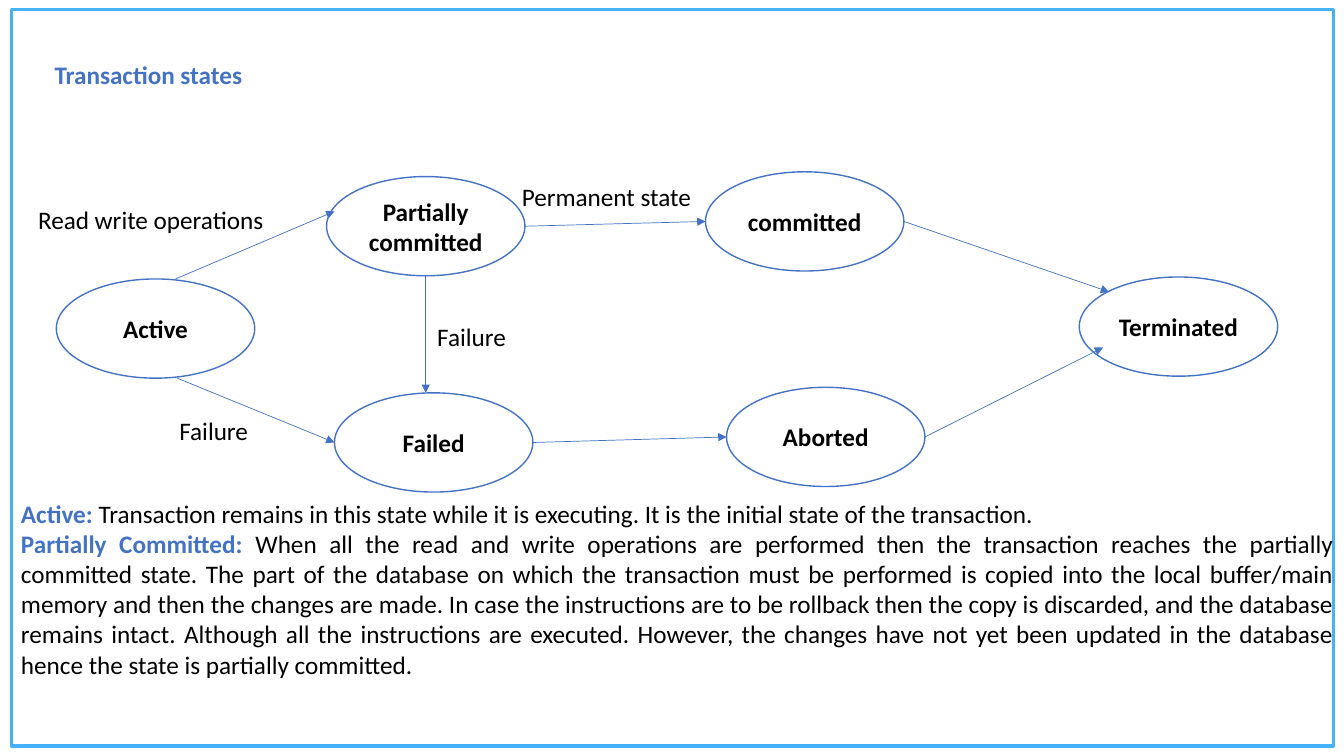
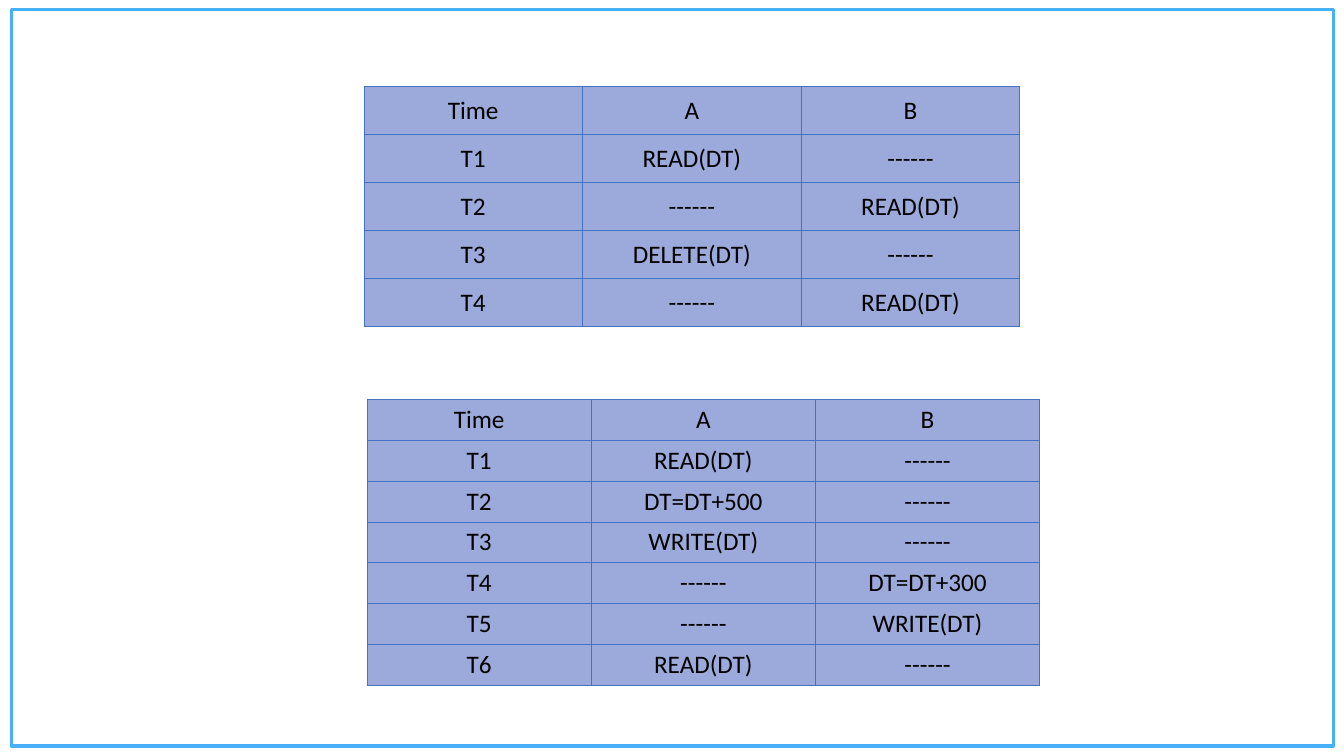
from dataclasses import dataclass

import pptx
import pptx.dml.color
import pptx.enum.shapes
import pptx.enum.text
import pptx.oxml
import pptx.oxml.ns
import pptx.util
from pptx.util import Cm

Align = pptx.enum.text.PP_ALIGN
Anchor = pptx.enum.text.MSO_ANCHOR
Fit = pptx.enum.text.MSO_AUTO_SIZE
Shape = pptx.enum.shapes.MSO_SHAPE
qn = pptx.oxml.ns.qn


@dataclass(frozen=True)
class Theme:
    ink: str = "000000"
    blue: str = "4472C4"
    frame: str = "46B0F9"
    white: str = "FFFFFF"
    cell: str = "9BAADA"
    face: str = "Calibri"
    size: float = 18
    thick: float = 2.25
    edge: float = 1
    thin: float = 0.5


def rgb(code):
    return pptx.dml.color.RGBColor.from_string(code)


def node(tag, **attrs):
    made = pptx.oxml.parse_xml(f'<a:{tag} {pptx.oxml.ns.nsdecls("a")}/>')
    for key, value in attrs.items():
        made.set(key, str(value))
    return made


class Deck:
    """Holds the theme, the presentation and the current slide."""

    def __init__(self, theme):
        self.theme = theme
        self.show = pptx.Presentation()
        self.show.slide_width = Cm(33.87)
        self.show.slide_height = Cm(19.05)
        self.slide = None

    def page(self, title=None):
        layout = self.show.slide_layouts[5 if title else 6]
        self.slide = self.show.slides.add_slide(layout)
        self.shape(Shape.RECTANGLE, 0.28, 0.23, 33.32, 18.57,
                   self.theme.frame, self.theme.thick)
        if title:
            self.title(title)

    def font(self, font, color=None, bold=False):
        font.name = self.theme.face
        font.size = pptx.util.Pt(self.theme.size)
        font.bold = bold
        font.color.rgb = rgb(color or self.theme.ink)

    def stroke(self, line, color, width):
        line.color.rgb = rgb(color)
        line.width = pptx.util.Pt(width)

    def title(self, text):
        box = self.slide.shapes.title
        box.left, box.top = Cm(1.12), Cm(1.37)
        box.width, box.height = Cm(9.65), Cm(1.02)
        frame = box.text_frame
        frame.text = text
        frame.auto_size = Fit.NONE
        frame.vertical_anchor = Anchor.TOP
        para = frame.paragraphs[0]
        para.alignment = Align.LEFT
        self.font(para.font, self.theme.blue, True)

    def shape(self, kind, left, top, width, height, color, weight, fill=None):
        made = self.slide.shapes.add_shape(
            kind, Cm(left), Cm(top), Cm(width), Cm(height))
        made.shadow.inherit = False
        if fill:
            made.fill.solid()
            made.fill.fore_color.rgb = rgb(fill)
        else:
            made.fill.background()
        self.stroke(made.line, color, weight)
        return made

    def state(self, text, left, top):
        made = self.shape(Shape.OVAL, left, top, 5, 2.5, self.theme.blue,
                          self.theme.edge, self.theme.white)
        frame = made.text_frame
        frame.text = text
        frame.word_wrap = True
        frame.vertical_anchor = Anchor.MIDDLE
        frame.margin_left = frame.margin_right = 0
        para = frame.paragraphs[0]
        para.alignment = Align.CENTER
        self.font(para.font, bold=True)
        return made

    def arrow(self, start, end):
        """Join two points, each given as (shape, share across, share down)."""
        ends = [place for shape, across, down in (start, end)
                for place in (shape.left + round(shape.width * across),
                              shape.top + round(shape.height * down))]
        link = self.slide.shapes.add_connector(
            pptx.enum.shapes.MSO_CONNECTOR.STRAIGHT, *ends)
        self.stroke(link.line, self.theme.blue, self.theme.thin)
        props = link.element.spPr
        props.find(qn("a:ln")).append(node("tailEnd", type="triangle"))
        props.append(node("effectLst"))

    def box(self, left, top, width, height):
        made = self.slide.shapes.add_textbox(
            Cm(left), Cm(top), Cm(width), Cm(height))
        frame = made.text_frame
        frame.word_wrap = True
        frame.auto_size = Fit.SHAPE_TO_FIT_TEXT
        return frame

    def label(self, text, left, top, width):
        frame = self.box(left, top, width, 1.03)
        frame.text = text
        self.font(frame.paragraphs[0].font)

    def terms(self, items, left, top, width, height):
        """Write one justified paragraph per pair of term and meaning."""
        frame = self.box(left, top, width, height)
        for index, (term, text) in enumerate(items):
            para = frame.add_paragraph() if index else frame.paragraphs[0]
            para.alignment = Align.JUSTIFY
            for part, color, bold in ((term + ": ", self.theme.blue, True),
                                      (text, self.theme.ink, False)):
                run = para.add_run()
                run.text = part
                self.font(run.font, color, bold)

    def table(self, rows, left, top, wide, high):
        """Draw rows of text in cells of equal width and height."""
        count = len(rows[0])
        grid = self.slide.shapes.add_table(
            len(rows), count, Cm(left), Cm(top),
            Cm(wide * count), Cm(high * len(rows))).table
        grid.first_row = grid.horz_banding = False
        for col in grid.columns:
            col.width = Cm(wide)
        for row, texts in zip(grid.rows, rows):
            row.height = Cm(high)
            for cell, text in zip(row.cells, texts):
                self.cell(cell, text)

    def cell(self, cell, text):
        cell.text = text
        cell.vertical_anchor = Anchor.MIDDLE
        para = cell.text_frame.paragraphs[0]
        para.alignment = Align.CENTER
        self.font(para.font)
        props = cell._tc.get_or_add_tcPr()
        for side in "LRTB":
            line = node("ln" + side, w=pptx.util.Pt(self.theme.thin))
            fill = node("solidFill")
            fill.append(node("srgbClr", val=self.theme.blue))
            line.append(fill)
            props.append(line)
        cell.fill.solid()
        cell.fill.fore_color.rgb = rgb(self.theme.cell)


HEAD = ("Time", "A", "B")
IDLE = "------"
TERMS = (
    ("Active",
     "Transaction remains in this state while it is executing. "
     "It is the initial state of the transaction."),
    ("Partially Committed",
     "When all the read and write operations are performed then the "
     "transaction reaches the partially committed state. The part of the "
     "database on which the transaction must be performed is copied into the "
     "local buffer/main memory and then the changes are made. In case the "
     "instructions are to be rollback then the copy is discarded, and the "
     "database remains intact. Although all the instructions are executed. "
     "However, the changes have not yet been updated in the database hence "
     "the state is partially committed."),
)


def states(deck):
    deck.page("Transaction states")
    active = deck.state("Active", 1.42, 7.03)
    partial = deck.state("Partially committed", 8.23, 4.45)
    failed = deck.state("Failed", 8.43, 9.9)
    done = deck.state("committed", 17.78, 4.33)
    aborted = deck.state("Aborted", 18.31, 9.76)
    final = deck.state("Terminated", 27.2, 6.98)

    for start, end in (
        ((active, 0.6, 0), (partial, 0.04, 0.35)),
        ((active, 0.61, 1), (failed, 0, 0.5)),
        ((partial, 1, 0.5), (done, 0, 0.5)),
        ((failed, 1, 0.5), (aborted, 0, 0.5)),
        ((done, 1, 0.5), (final, 0.15, 0.15)),
        ((aborted, 1, 0.5), (final, 0.12, 0.71)),
        ((partial, 0.5, 1), (failed, 0.46, 0)),
    ):
        deck.arrow(start, end)

    deck.label("Failure", 4.27, 10.34, 2.26)
    deck.label("Read write operations", 0.71, 5.03, 7.34)
    deck.label("Failure", 10.77, 7.98, 2.26)
    deck.label("Permanent state", 12.9, 4.45, 4.88)
    deck.terms(TERMS, 0.28, 12.42, 33.59, 4.88)


def tables(deck):
    deck.page()
    deck.table((
        HEAD,
        ("T1", "READ(DT)", IDLE),
        ("T2", IDLE, "READ(DT)"),
        ("T3", "DELETE(DT)", IDLE),
        ("T4", IDLE, "READ(DT)"),
    ), 9.17, 2.18, 5.51, 1.21)
    deck.table((
        HEAD,
        ("T1", "READ(DT)", IDLE),
        ("T2", "DT=DT+500", IDLE),
        ("T3", "WRITE(DT)", IDLE),
        ("T4", IDLE, "DT=DT+300"),
        ("T5", IDLE, "WRITE(DT)"),
        ("T6", "READ(DT)", IDLE),
    ), 9.25, 10.06, 5.65, 1.03)


def main():
    deck = Deck(Theme())
    states(deck)
    tables(deck)
    deck.show.save("out.pptx")


if __name__ == "__main__":
    main()
